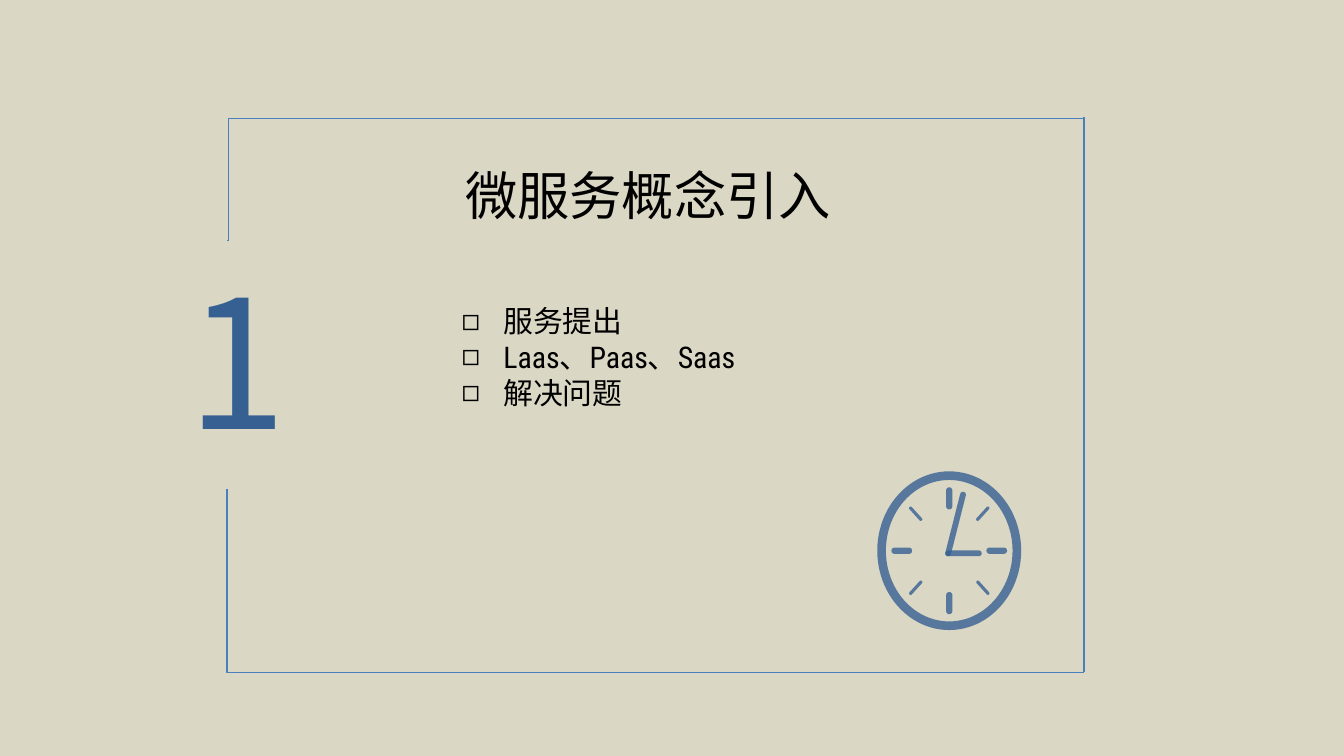
import math

import pptx
import pptx.dml.color
import pptx.enum.shapes
import pptx.enum.text
import pptx.oxml
import pptx.oxml.ns
import pptx.util
from pptx.util import Cm

COLOURS = {"background": "DAD7C5", "frame": "4B7EBC", "accent": "376092", "text": "000000"}
LATIN_FONT = "Roboto Condensed"
CHINESE_FONT = "Noto Sans CJK SC"
SHAPES = pptx.enum.shapes.MSO_SHAPE
CONNECTORS = pptx.enum.shapes.MSO_CONNECTOR

FRAME_LEFT, FRAME_TOP, FRAME_RIGHT, FRAME_BOTTOM = 4.29, 2.24, 20.49, 12.71
GAP_TOP, GAP_BOTTOM = 4.55, 9.25
CLOCK_X, CLOCK_Y = 17.94, 10.41
RADIUS_X, RADIUS_Y = 1.36, 1.5


def colour(name):
    return pptx.dml.color.RGBColor.from_string(COLOURS[name])


def add_child(parent, tag, **attributes):
    element = parent.makeelement(pptx.oxml.ns.qn(tag), attributes)
    parent.append(element)
    return element


def resize_deck(deck, width, height):
    """Set the slide size and fit the template's placeholders to it."""
    across, down = width / deck.slide_width, height / deck.slide_height
    deck.slide_width, deck.slide_height = width, height
    # Layouts come first, as they inherit places from the master.
    for sheet in [*deck.slide_layouts, deck.slide_master]:
        for box in sheet.placeholders:
            left, top, wide, high = box.left, box.top, box.width, box.height
            box.left, box.width = int(left * across), int(wide * across)
            box.top, box.height = int(top * down), int(high * down)


def add_frame_line(page, kind, start, end, bend=None):
    """Draw one frame line; bend is the elbow's place in 1/100000 of the width."""
    line = page.shapes.add_connector(kind, *map(Cm, start + end))
    line.line.color.rgb = colour("frame")
    line.line.width = pptx.util.Pt(0.75)
    properties = line._element.spPr
    add_child(properties, "a:effectLst")
    if bend is not None:
        guides = properties.find(pptx.oxml.ns.qn("a:prstGeom")).get_or_add_avLst()
        add_child(guides, "a:gd", name="adj1", fmla=f"val {bend}")


def paint_clock_part(shape):
    shape.shadow.inherit = False
    shape.fill.solid()
    shape.fill.fore_color.rgb = colour("accent")
    shape.line.fill.background()
    fill = shape._element.spPr.find(pptx.oxml.ns.qn("a:solidFill"))
    add_child(fill[0], "a:alpha", val="80000")


def add_bar(clock, start, end, thickness):
    """Add a round-ended bar between two points."""
    across, down = end[0] - start[0], end[1] - start[1]
    length = math.hypot(across, down) + thickness
    left = (start[0] + end[0] - length) / 2
    top = (start[1] + end[1] - thickness) / 2
    bar = clock.shapes.add_shape(SHAPES.ROUNDED_RECTANGLE, Cm(left), Cm(top),
                                 Cm(length), Cm(thickness))
    bar.adjustments[0] = 0.5
    bar.rotation = math.degrees(math.atan2(down, across))
    paint_clock_part(bar)


def dial_point(angle, share):
    """Give the point at a share of the dial's radius."""
    return (CLOCK_X + share * RADIUS_X * math.cos(angle),
            CLOCK_Y + share * RADIUS_Y * math.sin(angle))


def add_clock(page):
    clock = page.shapes.add_group_shape()
    ring = clock.shapes.add_shape(SHAPES.DONUT, Cm(CLOCK_X - RADIUS_X), Cm(CLOCK_Y - RADIUS_Y),
                                  Cm(2 * RADIUS_X), Cm(2 * RADIUS_Y))
    ring.adjustments[0] = 0.06
    paint_clock_part(ring)
    for mark in range(8):
        angle = mark * math.pi / 4
        thickness = 0.06 if mark % 2 else 0.12
        add_bar(clock, dial_point(angle, 0.56), dial_point(angle, 0.76), thickness)
    pivot = (17.92, 10.46)
    for tip in ((18.2, 9.35), (18.5, 10.46)):
        add_bar(clock, pivot, tip, 0.11)


def place(box, left, top, width, height):
    box.left, box.top, box.width, box.height = map(Cm, (left, top, width, height))


def fill_text(box, text, size, font=LATIN_FONT, colour_name="text"):
    frame = box.text_frame
    frame.text = text
    frame.word_wrap = True
    frame.auto_size = pptx.enum.text.MSO_AUTO_SIZE.NONE
    frame.vertical_anchor = pptx.enum.text.MSO_ANCHOR.TOP
    for para in frame.paragraphs:
        para.alignment = pptx.enum.text.PP_ALIGN.LEFT
        para.space_before = pptx.util.Pt(0)
        for span in para.runs:
            span.font.size = pptx.util.Pt(size)
            span.font.name = font
            span.font.color.rgb = colour(colour_name)
            add_child(span.font._element, "a:ea", typeface=CHINESE_FONT)


def add_bullets(box, symbol, indent):
    for para in box.text_frame.paragraphs:
        properties = para._p.get_or_add_pPr()
        properties.set("marL", str(Cm(indent)))
        properties.set("indent", str(-Cm(indent)))
        add_child(properties, "a:buChar", char=symbol)


def main():
    deck = pptx.Presentation()
    resize_deck(deck, Cm(25.4), Cm(14.29))
    page = deck.slides.add_slide(deck.slide_layouts[1])
    page.background.fill.solid()
    page.background.fill.fore_color.rgb = colour("background")

    add_frame_line(page, CONNECTORS.ELBOW, (FRAME_LEFT, GAP_TOP), (FRAME_RIGHT, FRAME_TOP), 200)
    add_frame_line(page, CONNECTORS.ELBOW, (FRAME_LEFT, GAP_BOTTOM), (FRAME_RIGHT, FRAME_BOTTOM), 0)
    add_frame_line(page, CONNECTORS.STRAIGHT, (FRAME_RIGHT, 2.21), (FRAME_RIGHT, FRAME_BOTTOM))
    add_clock(page)

    number = page.shapes.add_textbox(Cm(3.3), Cm(4.6), Cm(3.2), Cm(9.35))
    fill_text(number, "1", 96, CHINESE_FONT, "accent")

    title = page.shapes.title
    place(title, 8.54, 2.95, 9.93, 1.45)
    fill_text(title, "微服务概念引入", 28)

    topics = page.placeholders[1]
    place(topics, 8.47, 5.6, 9.58, 2.31)
    fill_text(topics, "服务提出\nLaas、Paas、Saas\n解决问题", 16)
    add_bullets(topics, "◻", 0.79)

    deck.save("out.pptx")


if __name__ == "__main__":
    main()
